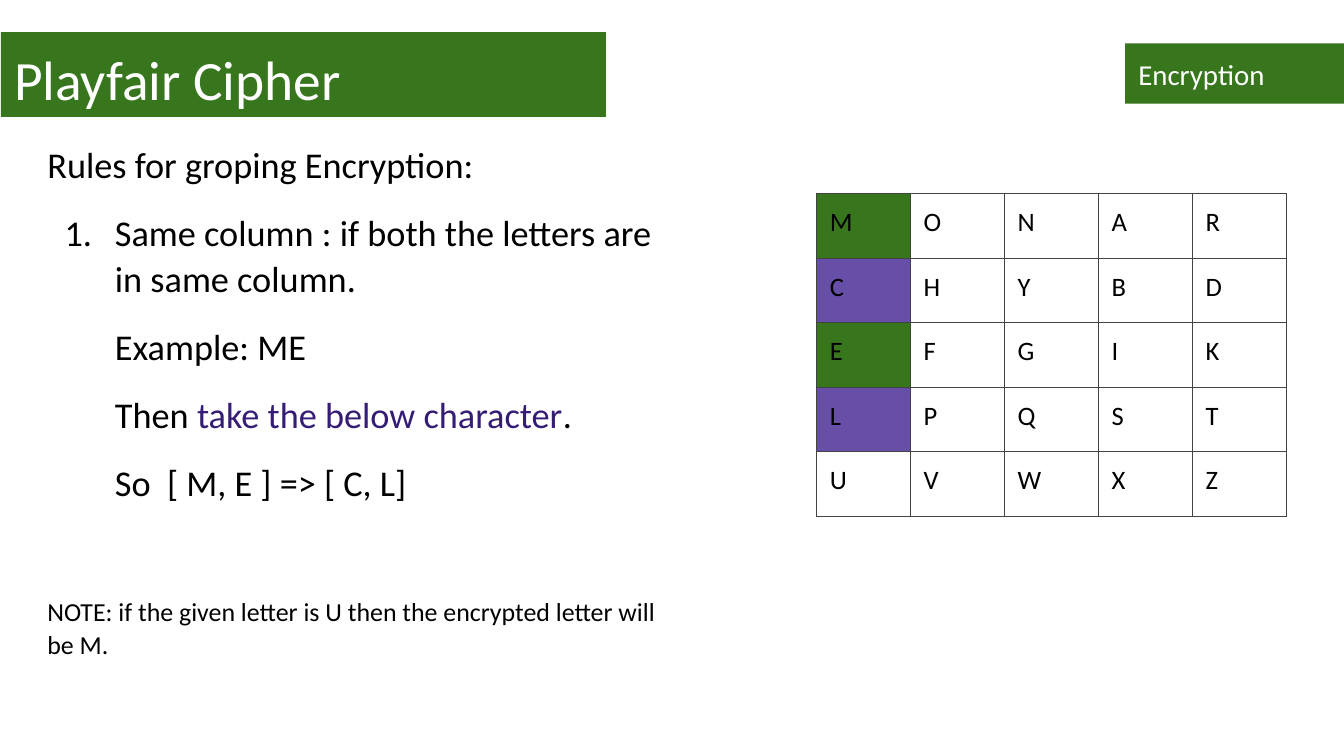
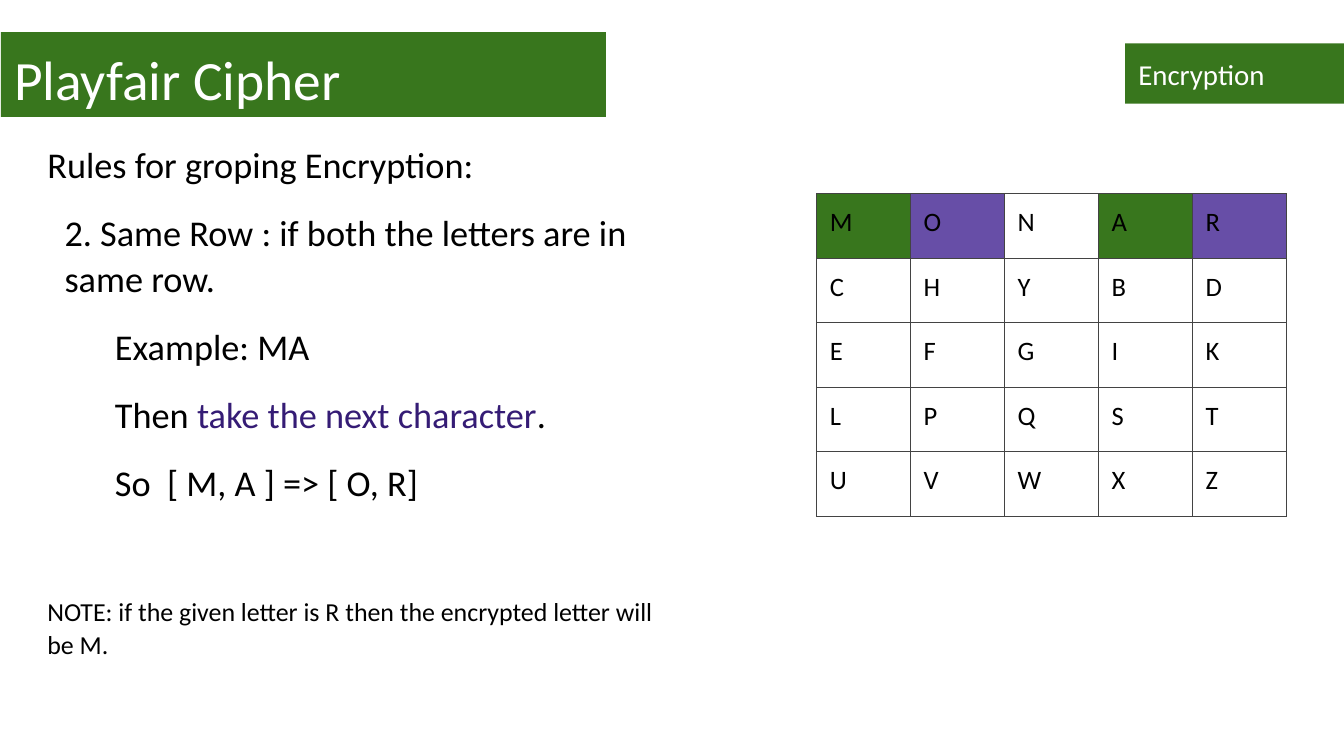
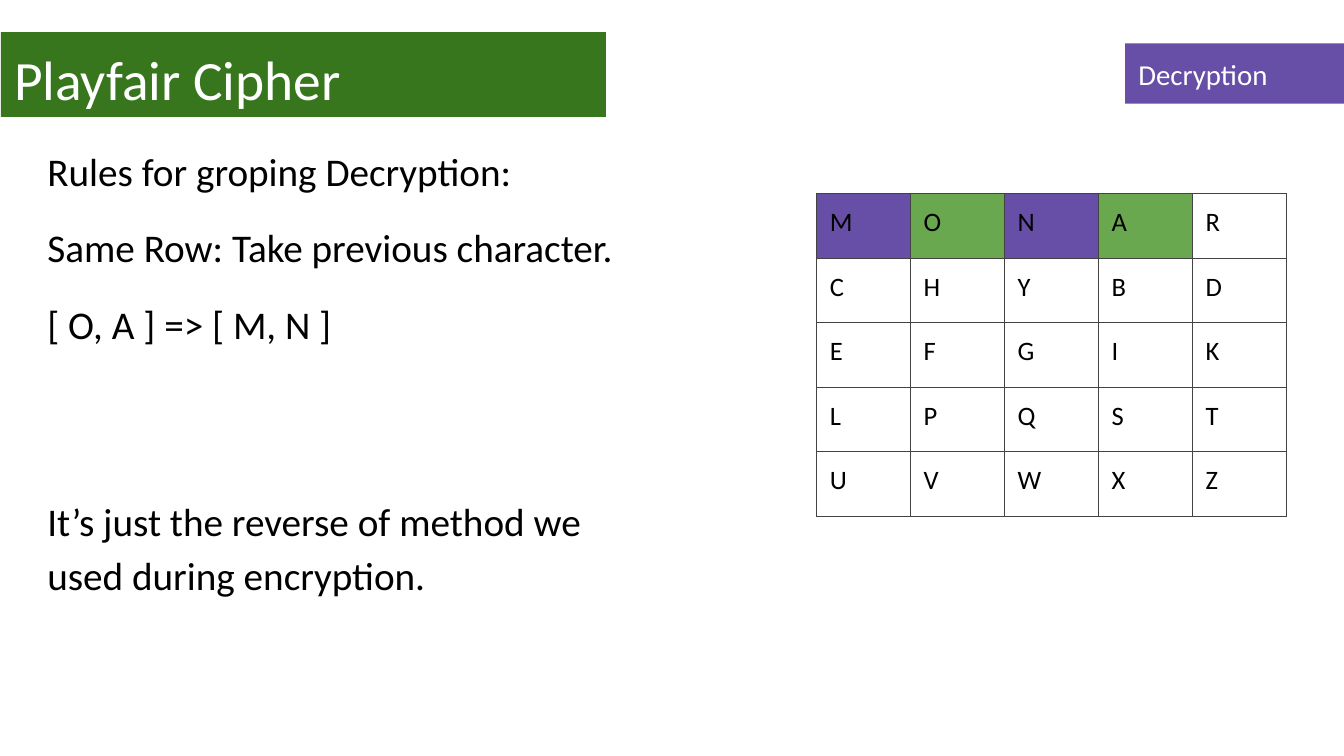
import pptx
import pptx.dml.color
import pptx.enum.shapes
import pptx.enum.text
import pptx.oxml
import pptx.oxml.ns
import pptx.util
from pptx.util import Inches

FONT = "Calibri"
GREEN, LIGHT_GREEN, PURPLE = "38761D", "6AA84F", "674EA7"
INDIGO, GREY, BLACK, WHITE = "351C75", "434343", "000000", "FFFFFF"
INSET = Inches(0.13)
STEP_INDENT = 0.67

TITLE_BOX = (0.01, 0.32, 6, 0.84)
TAG_BOX = (11.16, 0.43, 2.17, 0.6)
BODY_BOX = (0.34, 1.26, 6.3, 5.94)
GRID_BOX = (8.1, 1.92, 4.66, 3.2)
KEY_ROWS = ("MONAR", "CHYBD", "EFGIK", "LPQST", "UVWXZ")


def rgb(hex_color):
    return pptx.dml.color.RGBColor.from_string(hex_color)


def set_font(font, size, color):
    font.name = FONT
    font.size = pptx.util.Pt(size)
    font.color.rgb = rgb(color)


def set_insets(holder):
    """Give a text frame or a table cell the same margin on every side."""
    holder.margin_left = holder.margin_right = INSET
    holder.margin_top = holder.margin_bottom = INSET


def add_band(s, box, text, size, fill):
    sp = s.shapes.add_shape(pptx.enum.shapes.MSO_SHAPE.RECTANGLE, *map(Inches, box))
    sp.shadow.inherit = False
    sp.fill.solid()
    sp.fill.fore_color.rgb = rgb(fill)
    sp.line.fill.background()
    tf = sp.text_frame
    tf.word_wrap = True
    tf.vertical_anchor = pptx.enum.text.MSO_ANCHOR.TOP
    set_insets(tf)
    tf.text = text
    p = tf.paragraphs[0]
    p.alignment = pptx.enum.text.PP_ALIGN.LEFT
    set_font(p.runs[0].font, size, WHITE)


def para(*texts, indent=0, before=16, size=None, numbered=False):
    """Describe a paragraph; the second of its texts is highlighted."""
    return dict(texts=texts, indent=indent, before=before, size=size, numbered=numbered)


def add_body(s, box, paras, size, line_spacing):
    tf = s.shapes.add_textbox(*map(Inches, box)).text_frame
    tf.word_wrap = True
    set_insets(tf)
    for i, item in enumerate(paras):
        p = tf.add_paragraph() if i else tf.paragraphs[0]
        p.line_spacing = line_spacing
        p.space_before = pptx.util.Pt(item["before"] if i else 0)
        pPr = p._p.get_or_add_pPr()
        pPr.set("marL", str(Inches(item["indent"])))
        pPr.set("indent", str(Inches(-0.5 if item["numbered"] else 0)))
        if item["numbered"]:
            number = pptx.oxml.parse_xml(
                f'<a:buAutoNum {pptx.oxml.ns.nsdecls("a")} type="arabicPeriod"/>')
            pPr.append(number)
        for j, text in enumerate(item["texts"]):
            r = p.add_run()
            r.text = text
            set_font(r.font, item["size"] or size, INDIGO if j == 1 else BLACK)


def add_cell_borders(cell):
    tcPr = cell._tc.get_or_add_tcPr()
    for side in "LRTB":
        tcPr.append(pptx.oxml.parse_xml(
            f'<a:ln{side} {pptx.oxml.ns.nsdecls("a")} w="{pptx.util.Pt(0.75)}">'
            f'<a:solidFill><a:srgbClr val="{GREY}"/></a:solidFill></a:ln{side}>'))


def add_key_grid(s, box, fills):
    """Draw the key square; fills maps a letter to its cell colour."""
    count = len(KEY_ROWS)
    table = s.shapes.add_table(count, count, *map(Inches, box)).table
    table.first_row = table.horz_banding = False
    for row, letters in enumerate(KEY_ROWS):
        for col, letter in enumerate(letters):
            cell = table.cell(row, col)
            set_insets(cell)
            add_cell_borders(cell)
            cell.fill.solid()
            cell.fill.fore_color.rgb = rgb(fills.get(letter, WHITE))
            cell.text_frame.text = letter
            set_font(cell.text_frame.paragraphs[0].runs[0].font, 19, BLACK)


def add_cipher_slide(prs, tag, tag_fill, paras, size, line_spacing, fills):
    s = prs.slides.add_slide(prs.slide_layouts[6])
    add_band(s, TITLE_BOX, "Playfair Cipher", 39.6, GREEN)
    add_body(s, BODY_BOX, paras, size, line_spacing)
    add_key_grid(s, GRID_BOX, fills)
    add_band(s, TAG_BOX, tag, 20.6, tag_fill)


def add_encryption_slide(prs, rule, plain, cipher, neighbour, edge):
    paras = [
        para("Rules for groping Encryption:"),
        rule,
        para(f"Example: {plain}", indent=STEP_INDENT),
        para("Then ", f"take the {neighbour} character", ".", indent=STEP_INDENT),
        para(f"So  [ {', '.join(plain)} ] => [ {', '.join(cipher)}]", indent=STEP_INDENT),
        para(f"NOTE: if the given letter is {edge} then the encrypted letter will be M.",
             before=64.5, size=18.5),
    ]
    fills = dict.fromkeys(plain, GREEN) | dict.fromkeys(cipher, PURPLE)
    add_cipher_slide(prs, "Encryption", GREEN, paras, 25.9, 1.05, fills)


def add_decryption_slide(prs):
    paras = [
        para("Rules for groping Decryption:"),
        para("Same Row: Take previous character."),
        para("[ O, A ] => [ M, N ]"),
        para("It’s just the reverse of method we used during encryption.", before=102.5),
    ]
    fills = dict.fromkeys("OA", LIGHT_GREEN) | dict.fromkeys("MN", PURPLE)
    add_cipher_slide(prs, "Decryption", PURPLE, paras, 28, 1.15, fills)


def main():
    prs = pptx.Presentation()
    prs.slide_width, prs.slide_height = Inches(13.33), Inches(7.5)
    column_rule = para("Same column : if both the letters are in same column.",
                       indent=STEP_INDENT, numbered=True)
    row_rule = para("2. Same Row : if both the letters are in same row.", indent=0.17)
    add_encryption_slide(prs, column_rule, "ME", "CL", "below", "U")
    add_encryption_slide(prs, row_rule, "MA", "OR", "next", "R")
    add_decryption_slide(prs)
    prs.save("out.pptx")


if __name__ == "__main__":
    main()
